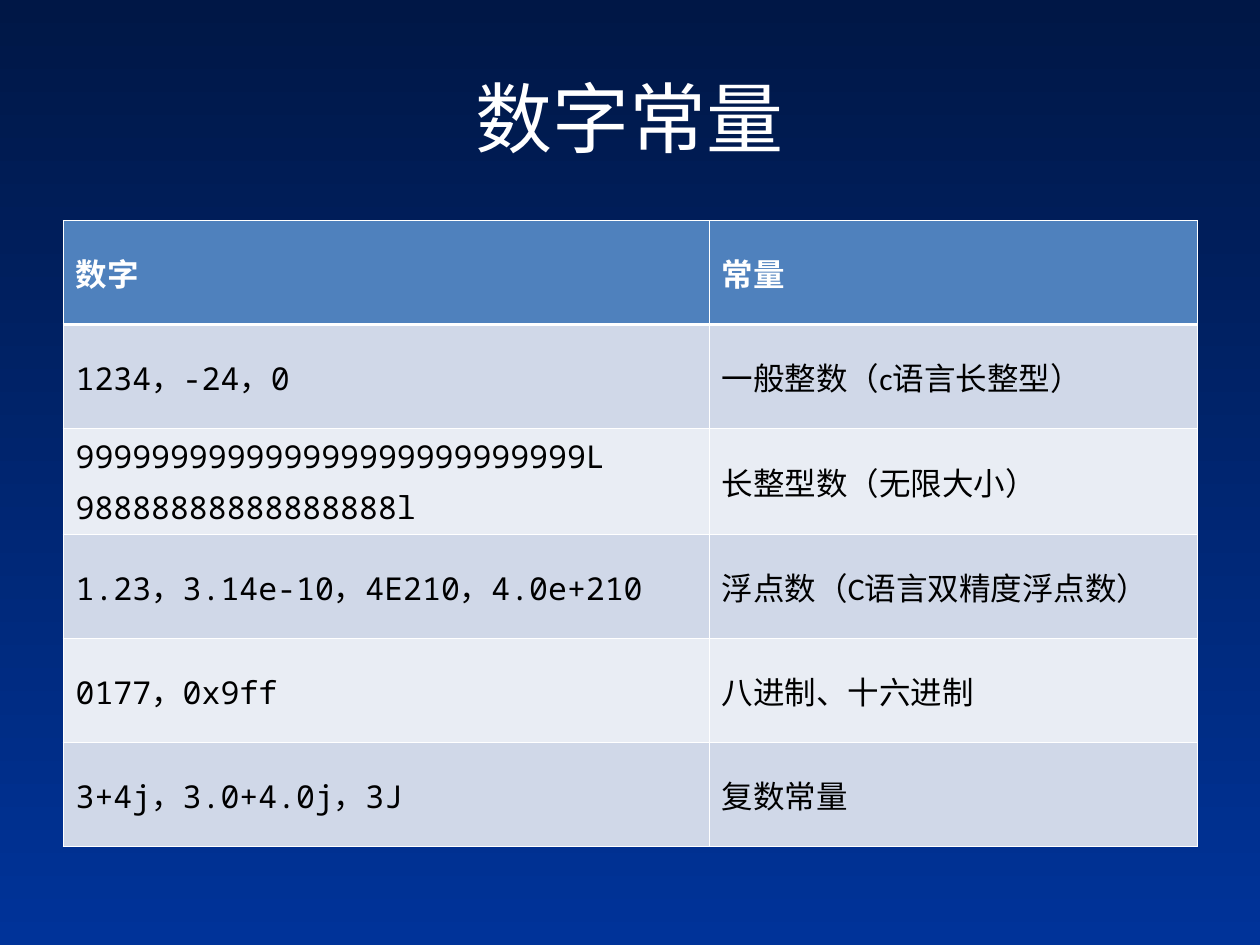
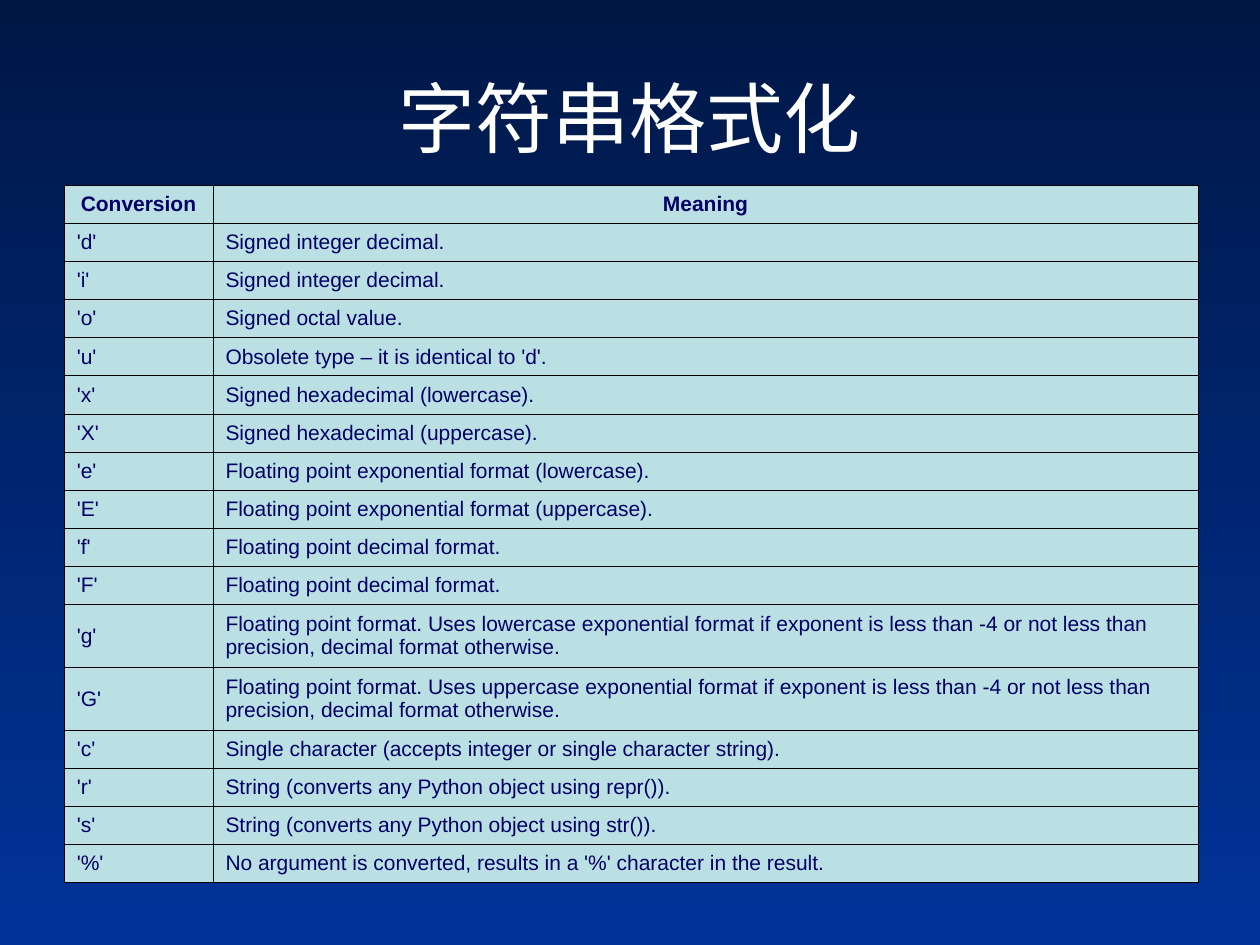
from dataclasses import dataclass

from lxml import etree
from pptx import Presentation
from pptx import util as u
from pptx.dml.color import RGBColor
from pptx.enum import text
from pptx.oxml.ns import qn


@dataclass(frozen=True)
class Theme:
    sky_top: str = "001746"
    sky_bottom: str = "003399"
    white: str = "FFFFFF"
    black: str = "000000"
    header_blue: str = "4F81BD"
    bands: tuple = ("D0D8E8", "E9EDF4")
    pale_teal: str = "BBE0E3"
    navy: str = "000066"
    title_size: float = 44
    constant_size: float = 18
    format_size: float = 12
    constant_gap: float = 4.5
    chinese: str = "Noto Sans CJK SC"
    mono: str = "Noto Sans Mono"
    courier: str = "Courier New"
    calibri: str = "Calibri"
    arial: str = "Arial"


THEME = Theme()
CENTER = text.PP_ALIGN.CENTER

# Each row: lines of the number cell, meaning, font of the meaning
CONSTANTS = [
    (["1234，-24，0"], "一般整数（c语言长整型）", THEME.calibri),
    (["999999999999999999999999999L", "98888888888888888l"],
     "长整型数（无限大小）", THEME.courier),
    (["1.23，3.14e-10，4E210，4.0e+210"],
     "浮点数（C语言双精度浮点数）", THEME.calibri),
    (["0177，0x9ff"], "八进制、十六进制", THEME.courier),
    (["3+4j，3.0+4.0j，3J"], "复数常量", THEME.courier),
]

GENERAL_FORMAT = ("Floating point format. Uses {} exponential format if exponent is "
                  "less than -4 or not less than precision, decimal format otherwise.")
CONVERSIONS = [
    ("d", "Signed integer decimal."),
    ("i", "Signed integer decimal."),
    ("o", "Signed octal value."),
    ("u", "Obsolete type – it is identical to 'd'."),
    ("x", "Signed hexadecimal (lowercase)."),
    ("X", "Signed hexadecimal (uppercase)."),
    ("e", "Floating point exponential format (lowercase)."),
    ("E", "Floating point exponential format (uppercase)."),
    ("f", "Floating point decimal format."),
    ("F", "Floating point decimal format."),
    ("g", GENERAL_FORMAT.format("lowercase")),
    ("G", GENERAL_FORMAT.format("uppercase")),
    ("c", "Single character (accepts integer or single character string)."),
    ("r", "String (converts any Python object using repr())."),
    ("s", "String (converts any Python object using str())."),
    ("%", "No argument is converted, results in a '%' character in the result."),
]


def write(frame, lines, *, font, size, color, bold=False, align=None, gap=0):
    """Fill a text frame, one paragraph a line, with gap points between them."""
    for index, line in enumerate(lines):
        para = frame.add_paragraph() if index else frame.paragraphs[0]
        para.alignment = align
        para.space_before = u.Pt(gap if index else 0)
        span = para.add_run()
        span.text = line
        span.font.size = u.Pt(size)
        span.font.bold = bold
        span.font.color.rgb = RGBColor.from_string(color)
        span.font.name = font
        east_asian = etree.Element(qn("a:ea"), typeface=THEME.chinese)
        span.font._element.find(qn("a:latin")).addnext(east_asian)


def add_text_shadow(frame):
    for para in frame.paragraphs:
        for span in para.runs:
            effects = etree.Element(qn("a:effectLst"))
            shadow = etree.SubElement(effects, qn("a:outerShdw"),
                                      dist=str(u.Pt(2)), dir="2700000")
            etree.SubElement(shadow, qn("a:srgbClr"), val=THEME.black)
            span.font._element.find(qn("a:solidFill")).addnext(effects)


def set_background(master):
    fill = master.background.fill
    fill.gradient()
    fill.gradient_angle = 270
    for stop, color in zip(fill.gradient_stops, (THEME.sky_top, THEME.sky_bottom)):
        stop.color.rgb = RGBColor.from_string(color)


def add_titled_page(deck, title):
    page = deck.slides.add_slide(deck.slide_layouts.get_by_name("Title Only"))
    box = page.shapes.title
    box.left, box.top = u.Inches(0.5), u.Inches(0.3)
    box.width, box.height = u.Inches(9), u.Inches(1.25)
    frame = box.text_frame
    frame.auto_size = text.MSO_AUTO_SIZE.NONE
    frame.vertical_anchor = text.MSO_ANCHOR.MIDDLE
    write(frame, [title], font=THEME.chinese, size=THEME.title_size,
          color=THEME.white, align=CENTER)
    add_text_shadow(frame)
    return page


def add_grid(page, left, top, widths, heights):
    """Add an unbanded table with the given column widths and row heights."""
    table = page.shapes.add_table(
        len(heights), len(widths), u.Inches(left), u.Inches(top),
        u.Inches(sum(widths)), u.Inches(sum(heights))).table
    table.first_row = table.horz_banding = False
    for column, width in zip(table.columns, widths):
        column.width = u.Inches(width)
    for row, height in zip(table.rows, heights):
        row.height = u.Inches(height)
    return table


def style_cell(cell, fill, line, weight, **heavier):
    """Set fill and borders; heavier gives other weights by side (L, R, T, B)."""
    cell.vertical_anchor = text.MSO_ANCHOR.MIDDLE
    properties = cell._tc.get_or_add_tcPr()
    for side in "LRTB":
        border = etree.SubElement(properties, qn(f"a:ln{side}"),
                                  w=str(u.Pt(heavier.get(side, weight))))
        paint = etree.SubElement(border, qn("a:solidFill"))
        etree.SubElement(paint, qn("a:srgbClr"), val=line)
    cell.fill.solid()
    cell.fill.fore_color.rgb = RGBColor.from_string(fill)


def add_constants_table(page):
    rows = [(["数字"], "常量", THEME.courier)] + CONSTANTS
    table = add_grid(page, 0.5, 1.75, (5.13, 3.87), [4.95 / len(rows)] * len(rows))
    for index, (numbers, meaning, meaning_font) in enumerate(rows):
        header = index == 0
        fill = THEME.header_blue if header else THEME.bands[(index - 1) % 2]
        heavier = {0: {"B": 1.47}, 1: {"T": 1.47}}.get(index, {})
        number_font = THEME.courier if header else THEME.mono
        contents = ((numbers, number_font), ([meaning], meaning_font))
        for cell, (lines, font) in zip(table.rows[index].cells, contents):
            style_cell(cell, fill, THEME.white, 0.45, **heavier)
            write(cell.text_frame, lines, font=font, size=THEME.constant_size,
                  color=THEME.white if header else THEME.black, bold=header,
                  gap=THEME.constant_gap)


def add_conversions_table(page):
    rows = [("Conversion", "Meaning")]
    rows += [(f"'{code}'", meaning) for code, meaning in CONVERSIONS]
    tall = [code in ("'g'", "'G'") for code, _ in rows]
    short_height = (5.54 - 0.5 * sum(tall)) / (len(rows) - sum(tall))
    heights = [0.5 if two_lines else short_height for two_lines in tall]
    table = add_grid(page, 0.51, 1.47, (1.18, 7.82), heights)
    for index, row in enumerate(rows):
        header = index == 0
        for cell, words in zip(table.rows[index].cells, row):
            style_cell(cell, THEME.pale_teal, THEME.black, 0.34)
            write(cell.text_frame, [words], font=THEME.arial, size=THEME.format_size,
                  color=THEME.navy, bold=header, align=CENTER if header else None)


def main():
    deck = Presentation()
    deck.slide_width, deck.slide_height = u.Inches(10), u.Inches(7.5)
    set_background(deck.slide_master)
    add_constants_table(add_titled_page(deck, "数字常量"))
    add_conversions_table(add_titled_page(deck, "字符串格式化"))
    deck.save("out.pptx")


if __name__ == "__main__":
    main()
